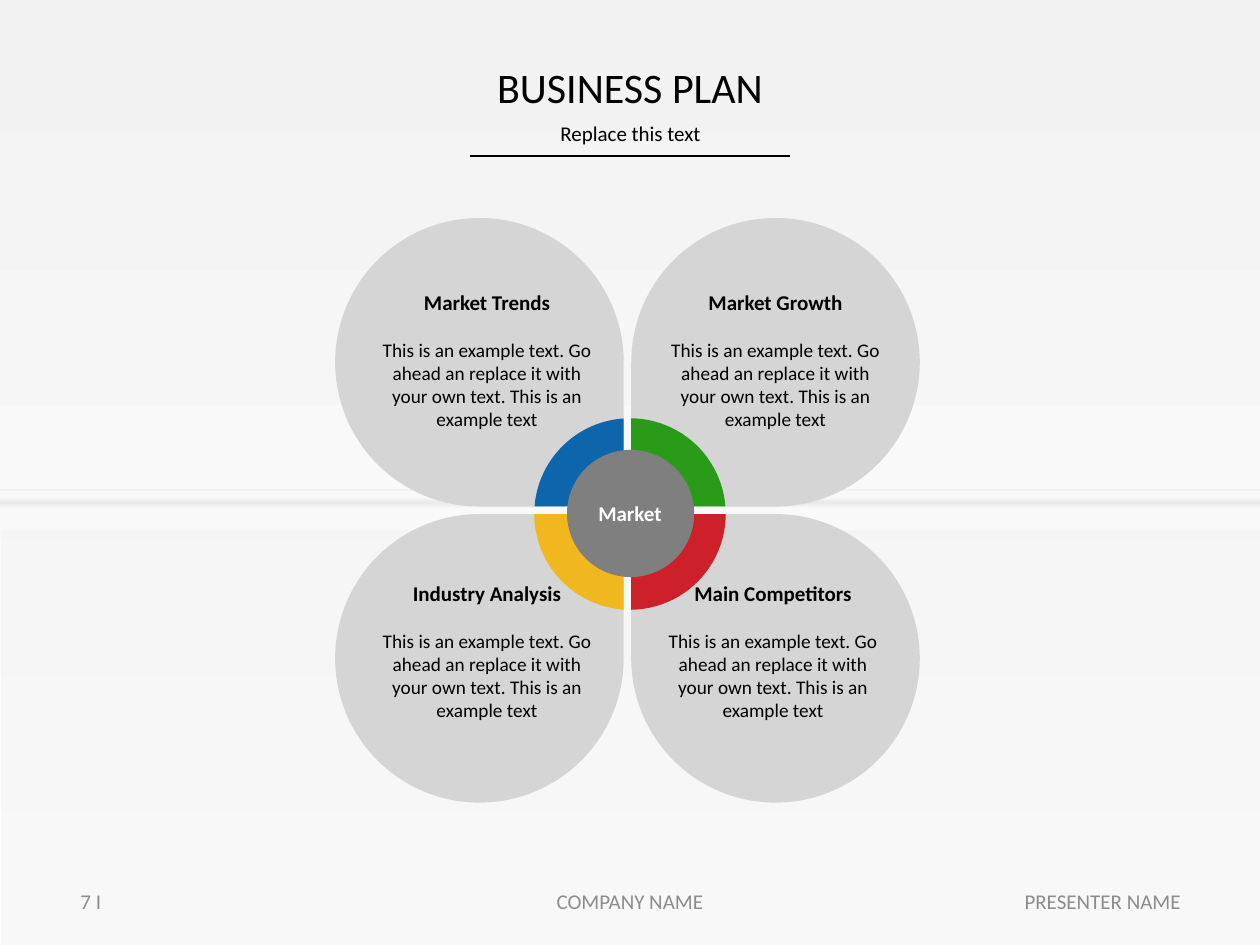
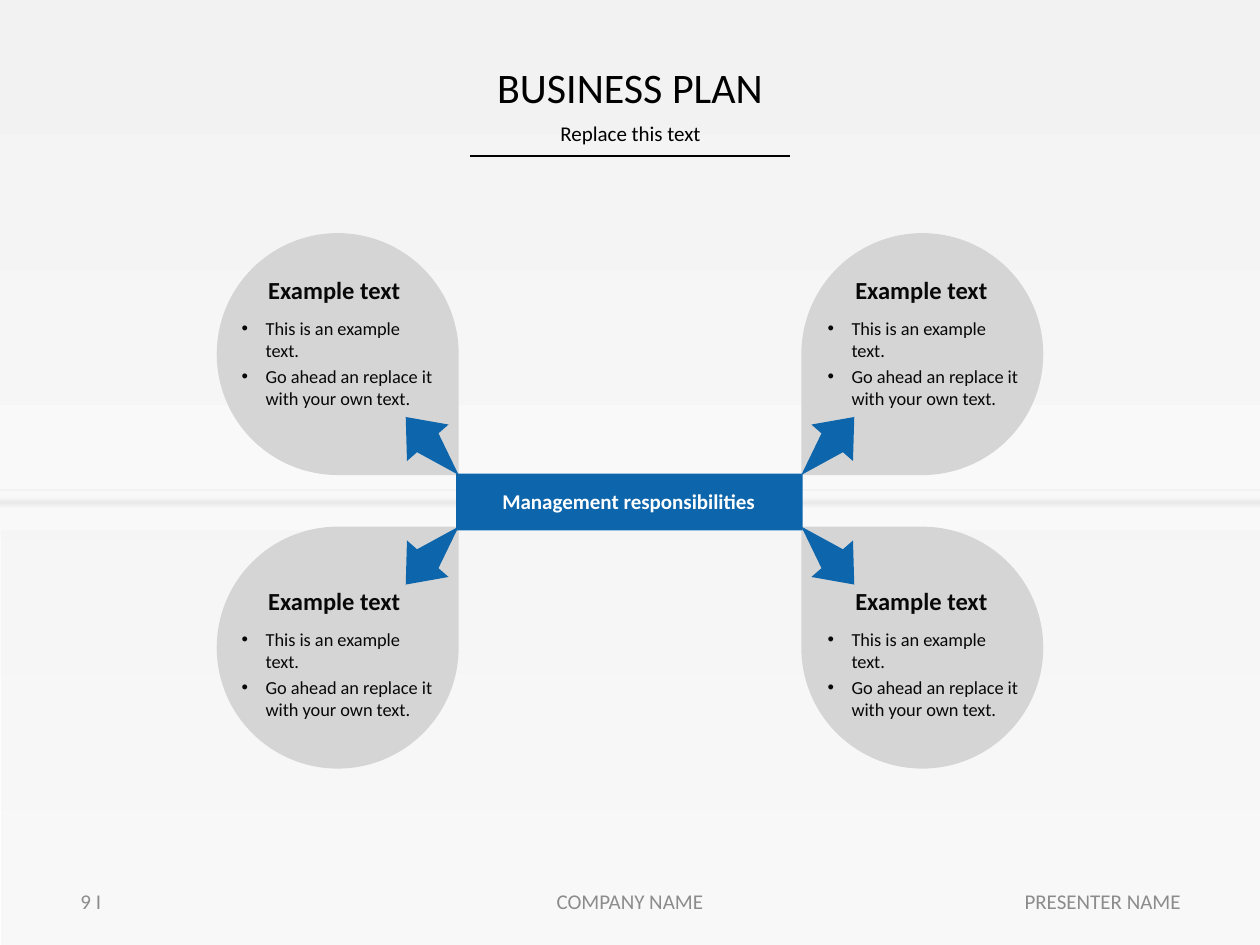
from dataclasses import dataclass
from math import acos, asin, cos, sin

from lxml.etree import SubElement
from pptx import Presentation
from pptx.dml.color import RGBColor
from pptx.enum.shapes import MSO_CONNECTOR, MSO_SHAPE
from pptx.enum.text import MSO_ANCHOR, MSO_AUTO_SIZE, PP_ALIGN
from pptx.oxml.ns import qn
from pptx.util import Inches, Pt


@dataclass(frozen=True)
class Theme:
    """Colours, font and type sizes of the deck."""
    font: str = "Calibri"
    black: str = "000000"
    ink: str = "080808"
    white: str = "FFFFFF"
    muted: str = "8C8C8C"
    mist: str = "F2F2F2"
    haze: str = "F9F9F9"
    fold: str = "EAEAEA"
    petal: str = "D5D5D5"
    hub: str = "7F7F7F"
    blue: str = "0D65AC"
    green: str = "2A9B18"
    yellow: str = "F0B71F"
    red: str = "CE202A"
    title: float = 24
    heading: float = 14
    label: float = 12
    body: float = 11
    bullet: float = 10.5


THEME = Theme()
EXAMPLE = "This is an example text. Go ahead an replace it with your own text. This is an example text"
BULLETS = ("This is an example text.", "Go ahead an replace it with your own text.")
ARROW = ((0, 0), (0.33, 0.18), (0.41, 0.11), (0.42, 0.46), (0.08, 0.4), (0.16, 0.33))
TEARDROP_TURNS = {(-1, 1): 0, (-1, -1): 90, (1, -1): 180, (1, 1): 270}


class Painter:
    """Draws themed elements on the current slide."""

    def __init__(self, deck, theme):
        """Keep the deck and its theme."""
        self.deck = deck
        self.theme = theme
        self.page = None

    def new_page(self, number):
        """Start a slide with background, title and footer."""
        theme = self.theme
        self.page = self.deck.slides.add_slide(self.deck.slide_layouts[6])
        self.gradient(0, 0, 10, 7.5, theme.mist, theme.white)
        veil = self.shape(MSO_SHAPE.RECTANGLE, 0.01, 4.21, 9.99, 3.29, theme.mist)
        colour = veil.fill._xPr.find(qn("a:solidFill"))[0]
        SubElement(colour, qn("a:alpha"), val="49000")
        self.gradient(0, 3.94, 10, 0.05, theme.haze, theme.fold)
        self.gradient(0, 3.99, 10, 0.05, theme.fold, theme.haze)
        self.line(0, 3.89, 10, theme.mist)
        self.line(3.73, 1.24, 6.27, theme.black)

        subtitle = self.box(0.69, 0.95, 8.63, 0.27)
        para = self.text(subtitle, "Replace this text", theme.label, align=PP_ALIGN.CENTER)
        para.line_spacing = 0.8
        title = self.box(0.69, 0.44, 8.62, 0.5, anchor=MSO_ANCHOR.MIDDLE)
        self.text(title, "BUSINESS PLAN", theme.title, align=PP_ALIGN.CENTER)
        footers = (
            (0.54, 2.25, f"{number} I", PP_ALIGN.LEFT),
            (3.31, 3.38, "COMPANY NAME", PP_ALIGN.CENTER),
            (7.22, 2.25, "PRESENTER NAME", PP_ALIGN.RIGHT),
        )
        for left, width, words, align in footers:
            footer = self.box(left, 6.95, width, 0.4, anchor=MSO_ANCHOR.MIDDLE)
            self.text(footer, words, theme.label, theme.muted, align=align)

    def paint(self, shape, colour):
        """Give a shape a flat fill without line or shadow."""
        shape.shadow.inherit = False
        shape.fill.solid()
        shape.fill.fore_color.rgb = RGBColor.from_string(colour)
        shape.line.fill.background()
        return shape

    def shape(self, kind, left, top, width, height, colour):
        """Add a filled preset shape."""
        shape = self.page.shapes.add_shape(
            kind, Inches(left), Inches(top), Inches(width), Inches(height))
        return self.paint(shape, colour)

    def gradient(self, left, top, width, height, upper, lower):
        """Add a rectangle that fades from top to bottom."""
        band = self.shape(MSO_SHAPE.RECTANGLE, left, top, width, height, upper)
        band.fill.gradient()
        band.fill.gradient_angle = 270
        for stop, position, colour in zip(band.fill.gradient_stops, (0, 1), (upper, lower)):
            stop.position = position
            stop.color.rgb = RGBColor.from_string(colour)

    def line(self, left, top, right, colour):
        """Add a thin horizontal rule."""
        rule = self.page.shapes.add_connector(
            MSO_CONNECTOR.STRAIGHT, Inches(left), Inches(top), Inches(right), Inches(top))
        rule.line.color.rgb = RGBColor.from_string(colour)
        rule.line.width = Pt(1)
        SubElement(rule._element.spPr, qn("a:effectLst"))

    def outline(self, points, colour):
        """Add a closed filled outline."""
        corners = [(Inches(x), Inches(y)) for x, y in points]
        builder = self.page.shapes.build_freeform(*corners[0], scale=1)
        builder.add_line_segments(corners[1:], close=True)
        self.paint(builder.convert_to_shape(), colour)

    def petal(self, left, top, size, side):
        """Add a teardrop that points to the centre of the slide."""
        petal = self.shape(MSO_SHAPE.TEAR, left, top, size, size, self.theme.petal)
        petal.rotation = TEARDROP_TURNS[side]

    def quadrant(self, corner, side, colour):
        """Add one coloured quarter of the central ring."""
        centre_x, centre_y, radius, steps = 5, 4.08, 0.76, 24
        start = asin(abs(corner[1] - centre_y) / radius)
        end = acos(abs(corner[0] - centre_x) / radius)
        angles = [start + (end - start) * step / steps for step in range(steps + 1)]
        arc = [(centre_x + side[0] * radius * cos(angle),
                centre_y + side[1] * radius * sin(angle)) for angle in angles]
        self.outline([corner, *arc], colour)

    def box(self, left, top, width, height, wrap=True, anchor=MSO_ANCHOR.TOP):
        """Add a text box and return its frame."""
        frame = self.page.shapes.add_textbox(
            Inches(left), Inches(top), Inches(width), Inches(height)).text_frame
        frame.word_wrap = wrap
        frame.vertical_anchor = anchor
        if not wrap:
            frame.auto_size = MSO_AUTO_SIZE.SHAPE_TO_FIT_TEXT
        return frame

    def text(self, frame, words, size, colour=None, bold=False,
             align=PP_ALIGN.LEFT, before=0, bullet=False):
        """Add a paragraph of one run, with space before unless it is the first."""
        first = not frame.paragraphs[0].runs
        para = frame.paragraphs[0] if first else frame.add_paragraph()
        para.alignment = align
        if not first:
            para.space_before = Pt(before)
        if bullet:
            properties = para._p.get_or_add_pPr()
            properties.set("marL", str(Inches(0.19)))
            properties.set("indent", str(-Inches(0.19)))
            SubElement(properties, qn("a:buFont"), typeface="Arial")
            SubElement(properties, qn("a:buChar"), char="•")
        span = para.add_run()
        span.text = words
        span.font.name = self.theme.font
        span.font.size = Pt(size)
        span.font.bold = bold
        span.font.color.rgb = RGBColor.from_string(colour or self.theme.black)
        return para


def market_page(painter):
    """Build the four market petals around a coloured ring."""
    theme = painter.theme
    painter.new_page(7)
    topics = (
        ("Market Trends", (-1, -1), 2.87, theme.blue),
        ("Market Growth", (1, -1), 5.16, theme.green),
        ("Industry Analysis", (-1, 1), 2.87, theme.yellow),
        ("Main Competitors", (1, 1), 5.14, theme.red),
    )
    for heading, side, left, colour in topics:
        across, down = side
        painter.petal(2.66 if across < 0 else 5.01, 1.73 if down < 0 else 4.08, 2.29, side)
    for heading, side, left, colour in topics:
        across, down = side
        frame = painter.box(left, 2.25 if down < 0 else 4.56, 1.99, 1.26)
        painter.text(frame, heading, theme.label, bold=True, align=PP_ALIGN.CENTER)
        painter.text(frame, EXAMPLE, theme.body, align=PP_ALIGN.CENTER, before=13.4)
    for heading, side, left, colour in topics:
        across, down = side
        corner = (4.95 if across < 0 else 5.01, 4.02 if down < 0 else 4.08)
        painter.quadrant(corner, side, colour)
    painter.shape(MSO_SHAPE.OVAL, 4.5, 3.57, 1.01, 1.01, theme.hub)
    hub = painter.box(4.65, 3.92, 0.71, 0.3, wrap=False)
    painter.text(hub, "Market", theme.label, theme.white, bold=True)


def management_page(painter):
    """Build the four petals that arrows reach from the central bar."""
    theme = painter.theme
    painter.new_page(9)
    for side in TEARDROP_TURNS:
        across, down = side
        petal_left, list_left, heading_left, tail_x = (
            (1.72, 1.82, 2.03, 3.64) if across < 0 else (6.36, 6.47, 6.69, 6.36))
        petal_top, heading_top, tail_y = (
            (1.85, 2.13, 3.77) if down < 0 else (4.18, 4.6, 4.18))
        painter.petal(petal_left, petal_top, 1.92, side)
        painter.outline([(tail_x + across * x, tail_y + down * y) for x, y in ARROW], theme.blue)
        points = painter.box(list_left, heading_top + 0.34, 1.74, 0.84)
        for words in BULLETS:
            painter.text(points, words, theme.bullet, theme.ink, before=2.1, bullet=True)
        heading = painter.box(heading_left, heading_top, 1.26, 0.34, wrap=False)
        painter.text(heading, "Example text", theme.heading, theme.ink, bold=True)
    painter.shape(MSO_SHAPE.RECTANGLE, 3.62, 3.76, 2.75, 0.45, theme.blue)
    bar = painter.box(3.79, 3.83, 2.4, 0.3)
    painter.text(bar, "Management responsibilities", theme.label, theme.white,
                 bold=True, align=PP_ALIGN.CENTER)


def main():
    """Build and save the deck."""
    deck = Presentation()
    deck.slide_width, deck.slide_height = Inches(10), Inches(7.5)
    painter = Painter(deck, THEME)
    market_page(painter)
    management_page(painter)
    deck.save("out.pptx")


if __name__ == "__main__":
    main()
